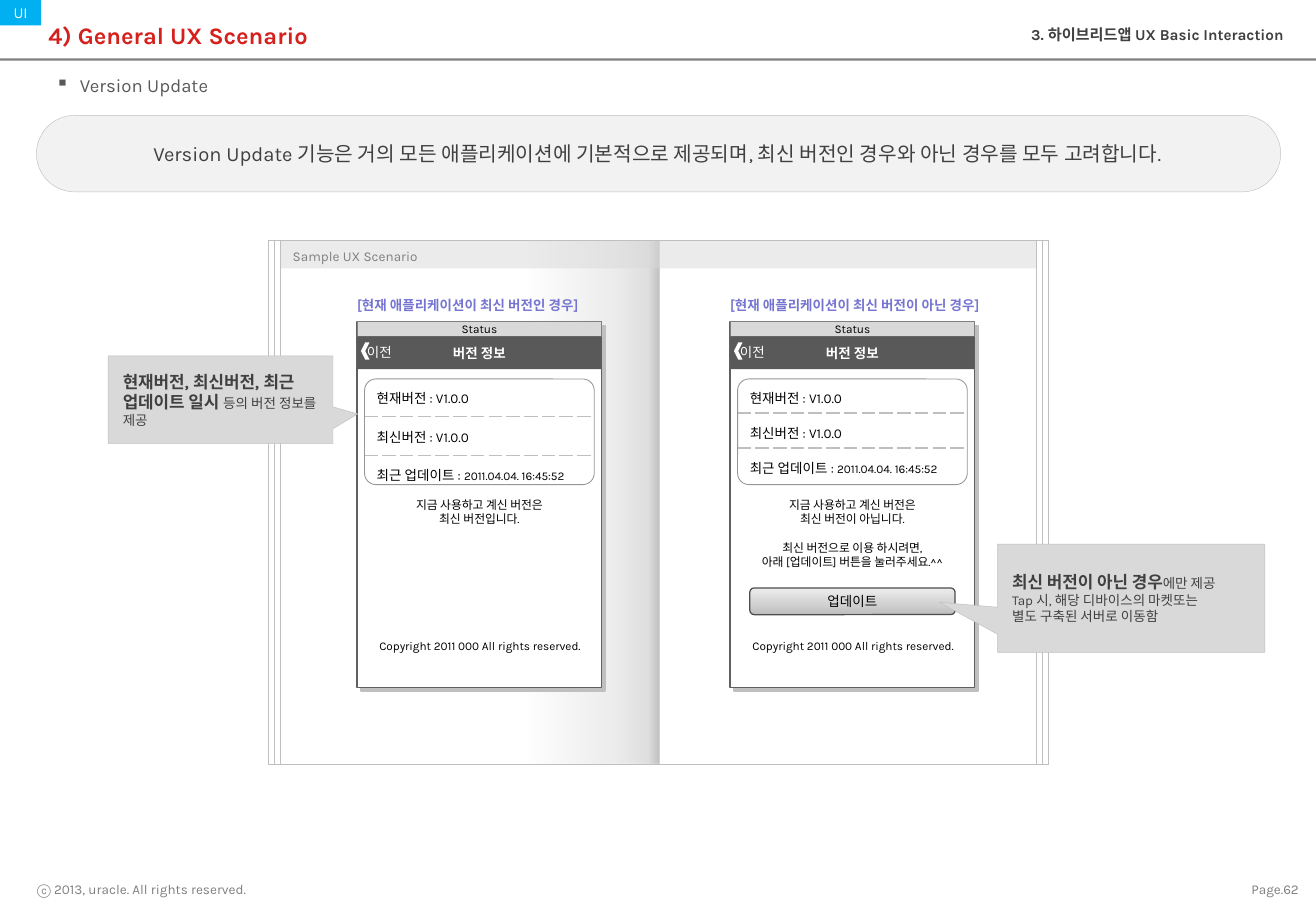
"""Build the Version Update scenario slide."""
import pptx
import pptx.dml.color
import pptx.enum.shapes
import pptx.enum.text
import pptx.oxml
import pptx.oxml.ns
import pptx.util
from pptx.util import Inches

KIND = pptx.enum.shapes.MSO_SHAPE
ALIGN = pptx.enum.text.PP_ALIGN
ANCHOR = pptx.enum.text.MSO_ANCHOR
NS = pptx.oxml.ns.nsdecls("a")


def color(code):
    """Turn a hex string into a colour."""
    return pptx.dml.color.RGBColor.from_string(code)


def node(xml):
    """Parse one drawing element given without its prefix declaration."""
    head, rest = xml.split(">", 1)
    slash = "/" if head.endswith("/") else ""
    return pptx.oxml.parse_xml(f"{head.rstrip('/')} {NS}{slash}>{rest}")


def style(runs, size, ink, bold=False, face="Karla"):
    """Format runs alike."""
    for run in runs:
        run.font.name = face
        run.font.size = pptx.util.Pt(size)
        run.font.bold = bold
        run.font.color.rgb = color(ink)


def write(shape, text, size, ink, bold=False, align=ALIGN.LEFT,
          anchor=ANCHOR.MIDDLE, ins=(0.1, 0.05), space=None, face="Karla"):
    """Fill a shape with evenly formatted text and return its paragraphs."""
    frame = shape.text_frame
    frame.word_wrap = True
    frame.vertical_anchor = anchor
    frame.margin_left = frame.margin_right = Inches(ins[0])
    frame.margin_top = frame.margin_bottom = Inches(ins[1])
    frame.text = text
    for para in frame.paragraphs:
        para.alignment = align
        para.line_spacing = space
        style(para.runs, size, ink, bold, face)
    return frame.paragraphs


def label(slide, box, text, size, ink, **look):
    """Add a text box."""
    return write(slide.shapes.add_textbox(*map(Inches, box)), text, size, ink, **look)


def shape(slide, kind, box, fill=None, line=None, width=0.25, adj=()):
    """Add a flat preset shape."""
    item = slide.shapes.add_shape(kind, *map(Inches, box))
    item.shadow.inherit = False
    for spot, value in enumerate(adj):
        item.adjustments[spot] = value
    if fill:
        item.fill.solid()
        item.fill.fore_color.rgb = color(fill)
    else:
        item.fill.background()
    if line:
        item.line.color.rgb = color(line)
        item.line.width = pptx.util.Pt(width)
    else:
        item.line.fill.background()
    return item


def blend(item, stops, angle, alpha=100):
    """Replace an empty fill by a linear gradient."""
    marks = "".join(
        f'<a:gs pos="{pos * 1000}"><a:srgbClr val="{code}">'
        f'<a:alpha val="{alpha * 1000}"/></a:srgbClr></a:gs>' for pos, code in stops)
    props = item.element.spPr
    props.replace(props.find(pptx.oxml.ns.qn("a:noFill")), node(
        f'<a:gradFill rotWithShape="1"><a:gsLst>{marks}</a:gsLst>'
        f'<a:lin ang="{angle * 60000}" scaled="0"/></a:gradFill>'))


def shade(item):
    """Cast a hard grey shadow to the lower right."""
    list_ = item.element.spPr.find(pptx.oxml.ns.qn("a:effectLst"))
    list_.append(node('<a:outerShdw dist="38100" dir="2700000" algn="tl" rotWithShape="0">'
                      '<a:srgbClr val="BFBFBF"/></a:outerShdw>'))


def edge(cell, dashed):
    """Draw the dashed sides of a cell and clear the others."""
    props = cell._tc.get_or_add_tcPr()
    for side in "LRTB":
        ink = ('<a:solidFill><a:srgbClr val="BFBFBF"/></a:solidFill><a:prstDash val="sysDash"/>'
               if side in dashed else "<a:noFill/>")
        props.append(node(f'<a:ln{side} w="12700">{ink}</a:ln{side}>'))
    cell.fill.background()


def facts(slide, left, step):
    """Add the table of version facts."""
    rows = (("현재버전 : V1.0.0", "", "B"), ("최신버전 : V1.0.0", "", "TB"),
            ("최근 업데이트 : ", "2011.04.04. 16:45:52", "T"))
    grid = slide.shapes.add_table(
        len(rows), 1, *map(Inches, (left, 3.11, 1.89, step * len(rows)))).table
    grid.first_row = grid.horz_banding = False
    for spot, (text, date, sides) in enumerate(rows):
        grid.rows[spot].height = Inches(step)
        cell = grid.cell(spot, 0)
        cell.margin_left, cell.margin_right = Inches(0.1), Inches(0)
        cell.margin_top, cell.margin_bottom = Inches(0.08), Inches(0.05)
        para = cell.text_frame.paragraphs[0]
        para.text = text
        style(para.runs, 8, "000000")
        if date:
            run = para.add_run()
            run.text = date
            style([run], 7, "000000")
        edge(cell, sides)


def phone(slide, left, title, wide, step, note, button=None):
    """Add one phone screen with its caption."""
    screen = shape(slide, KIND.RECTANGLE, (left, 2.65, 2.01, 3.01), "FFFFFF", "606060", 1)
    shade(screen)
    bar = shape(slide, KIND.RECTANGLE, (left, 2.65, 2.01, 0.12), "D9D9D9", "808080", 0.5)
    write(bar, "Status", 7, "000000", align=ALIGN.CENTER, ins=(0, 0))
    head = shape(slide, KIND.RECTANGLE, (left, 2.77, 2.01, 0.27), "595959")
    write(head, "버전 정보", 8, "FFFFFF", bold=True, align=ALIGN.CENTER)
    shape(slide, KIND.ROUNDED_RECTANGLE, (left + 0.06, 3.12, 1.89, 0.87),
          "FFFFFF", "969696", 0.5, (0.108,))
    if button:
        key = shape(slide, KIND.ROUNDED_RECTANGLE, (left + 0.16, 4.84, 1.69, 0.22),
                    None, "4D4D4D", 0.75, (0.167,))
        blend(key, ((0, "BCBCBC"), (35, "D0D0D0"), (100, "EDEDED")), 270)
        write(key, button, 8, "000000", align=ALIGN.CENTER, ins=(0.1, 0))
    facts(slide, left + 0.06, step)
    lines = label(slide, (left, 4.05, 2.01, 0.69), note, 7, "000000",
                  align=ALIGN.CENTER, anchor=ANCHOR.TOP)
    for para in lines[2:3]:
        para.space_before = pptx.util.Pt(8.4)
    label(slide, (left + 0.01, 5.21, 2, 0.22), "Copyright 2011 000 All rights reserved.",
          7, "000000", align=ALIGN.CENTER, anchor=ANCHOR.TOP, ins=(0.08, 0.05))
    label(slide, (left - 0.1, 2.37, wide, 0.25), title, 8, "7575D1", bold=True,
          anchor=ANCHOR.TOP, space=1.2)
    label(slide, (left + 0.04, 2.79, 0.47, 0.21), "이전", 8, "FFFFFF",
          anchor=ANCHOR.TOP, ins=(0.04, 0.04), face="Arial")
    shape(slide, KIND.CHEVRON, (left + 0.03, 2.82, 0.07, 0.14), "FFFFFF").rotation = 180


def callout(slide, box, adj, strong, text):
    """Add a callout that opens with bold words."""
    item = shape(slide, KIND.RECTANGULAR_CALLOUT, box, "D9D9D9", "BFBFBF", adj=adj)
    first = write(item, text, 8, "404040", ins=(0.12, 0.05))[0]
    rest = first.text
    first.text = strong
    style(first.runs, 10, "404040", True)
    run = first.add_run()
    run.text = rest
    style([run], 8, "404040")


def book(slide):
    """Add the open book behind the phones."""
    fold = shape(slide, KIND.RECTANGLE, (2.31, 1.98, 3.12, 4.31))
    blend(fold, ((0, "808080"), (3, "BFBFBF"), (11, "D9D9D9"), (35, "FFFFFF")), 180, 50)
    band = shape(slide, KIND.RECTANGLE, (2.31, 1.98, 6.22, 0.23))
    blend(band, ((0, "D9D9D9"), (100, "D9D9D9")), 0, 50)
    write(band, "Sample UX Scenario", 8, "808080", space=1.2)
    for leaf in range(3):
        out = leaf * 0.05
        shape(slide, KIND.RECTANGLE, (2.31 - out, 1.98, 6.22 + 2 * out, 4.31), None, "BFBFBF")


def frame(slide):
    """Add the header, the summary and the footer."""
    shape(slide, KIND.RECTANGLE, (0, 0.48, 10.83, 0.02), "808080")
    for box, text in (((10.08, 7.21, 0.7, 0.22), "Page.62"),
                      ((0.06, 7.21, 2.06, 0.22), "ⓒ 2013, uracle. All rights reserved.")):
        label(slide, box, text, 8, "808080", align=ALIGN.RIGHT, ins=(0.09, 0.04))
    shape(slide, KIND.ROUNDED_RECTANGLE, (0.3, 0.95, 10.24, 0.63), "F2F2F2", "BFBFBF", adj=(0.5,))
    tag = shape(slide, KIND.RECTANGLE, (0, 0, 0.34, 0.21), "00B0F0")
    write(tag, "UI", 9, "FFFFFF", align=ALIGN.CENTER, ins=(0, 0))
    label(slide, (0.51, 1.03, 9.8, 0.47),
          "Version Update 기능은 거의 모든 애플리케이션에 기본적으로 제공되며, "
          "최신 버전인 경우와 아닌 경우를 모두 고려합니다.",
          12, "404040", align=ALIGN.CENTER)
    label(slide, (0.3, 0.08, 6.5, 0.41), "4) General UX Scenario", 14, "D5211D", bold=True)
    label(slide, (6.88, 0.16, 3.78, 0.28), "3. 하이브리드앱 UX Basic Interaction", 9, "404040",
          bold=True, align=ALIGN.RIGHT, anchor=ANCHOR.TOP)
    point = label(slide, (0.36, 0.56, 9.39, 0.28), "Version Update", 11, "595959")[0]
    props = point._p.get_or_add_pPr()
    props.set("marL", str(Inches(0.2)))
    props.set("indent", str(Inches(-0.2)))
    props.append(node('<a:buChar char="▪"/>'))


def main():
    """Build and save the slide."""
    deck = pptx.Presentation()
    deck.slide_width, deck.slide_height = Inches(10.83), Inches(7.5)
    slide = deck.slides.add_slide(deck.slide_layouts[6])
    book(slide)
    frame(slide)
    phone(slide, 2.94, "[현재 애플리케이션이 최신 버전인 경우]", 2.22, 0.32,
          "지금 사용하고 계신 버전은\n최신 버전입니다.")
    phone(slide, 6.01, "[현재 애플리케이션이 최신 버전이 아닌 경우]", 2.48, 0.29,
          "지금 사용하고 계신 버전은\n최신 버전이 아닙니다.\n"
          "최신 버전으로 이용 하시려면,\n아래 [업데이트] 버튼을 눌러주세요.^^", "업데이트")
    callout(slide, (8.21, 4.48, 2.2, 0.89), (-0.718, 0.038), "최신 버전이 아닌 경우",
            "에만 제공\nTap 시, 해당 디바이스의 마켓또는\n별도 구축된 서버로 이동함")
    callout(slide, (0.89, 2.93, 1.85, 0.72), (0.61, 0.164),
            "현재버전, 최신버전, 최근 업데이트 일시 ", "등의 버전 정보를 제공")
    deck.save("out.pptx")


if __name__ == "__main__":
    main()
